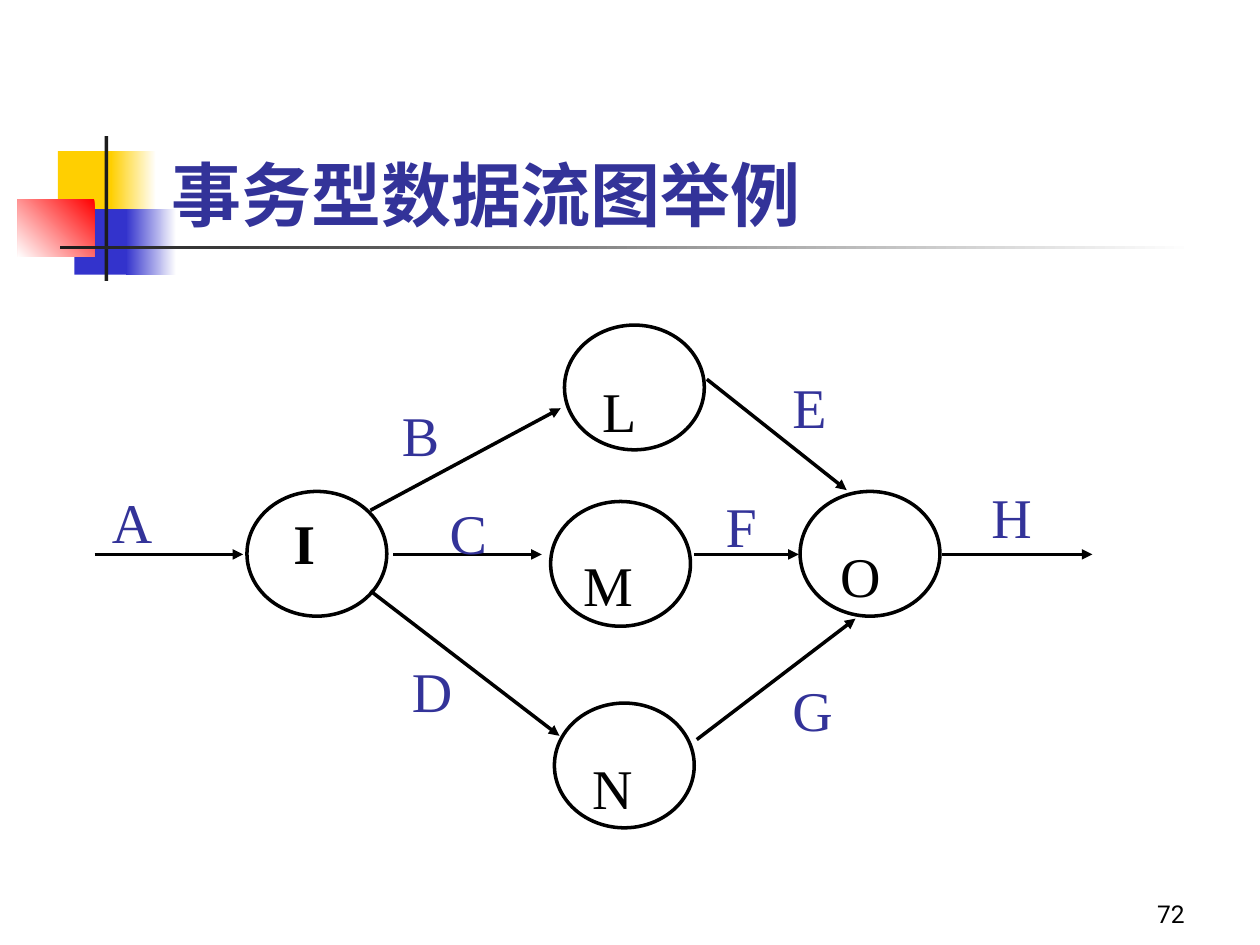
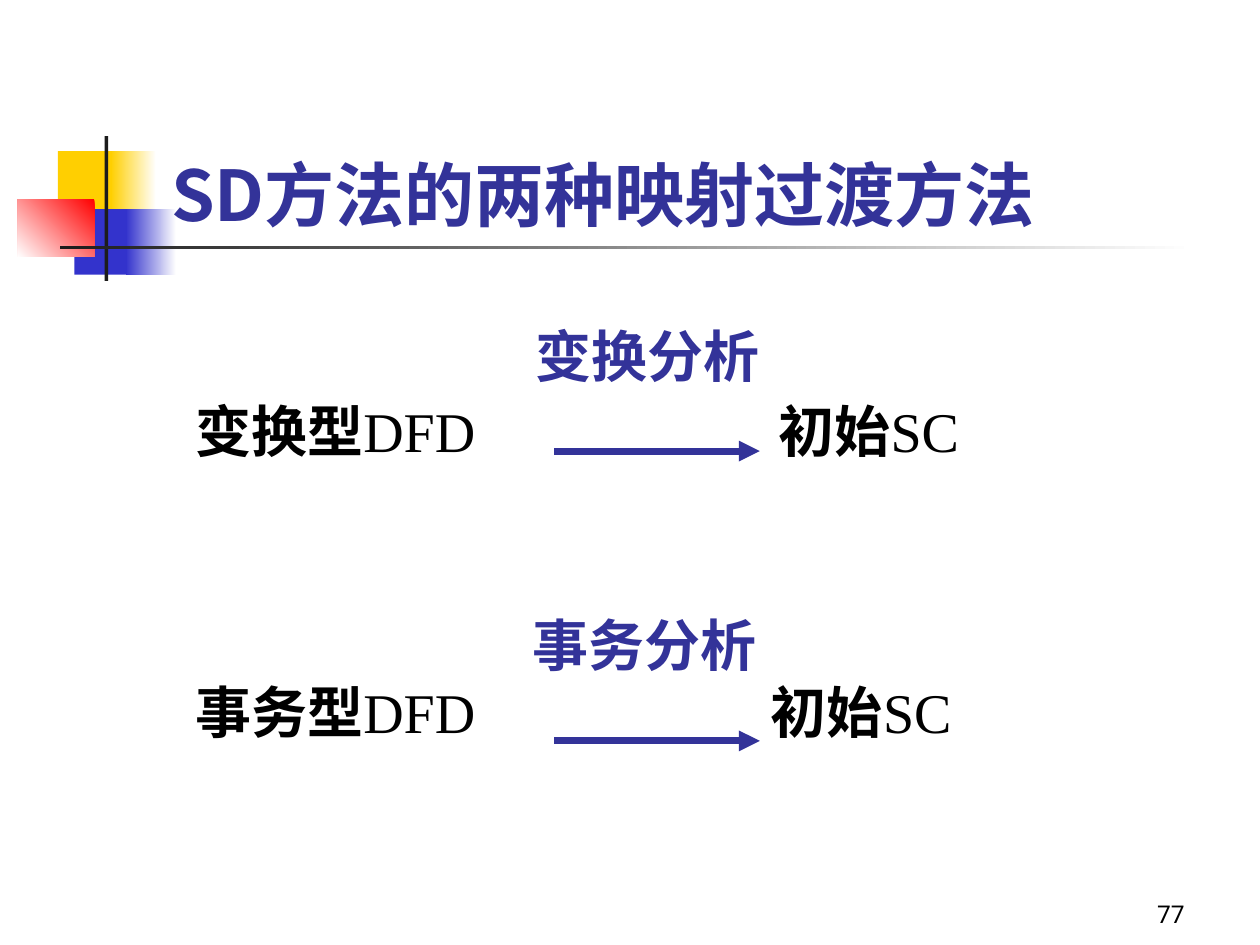
import pptx
import pptx.util
import pptx.dml.color
import pptx.enum.shapes
import pptx.enum.text
import pptx.oxml
import pptx.oxml.ns

Inches = pptx.util.Inches
SHAPE = pptx.enum.shapes.MSO_SHAPE
ALIGN = pptx.enum.text.PP_ALIGN
ANCHOR = pptx.enum.text.MSO_ANCHOR

HAN, SERIF, SANS = "Noto Sans CJK SC", "Times New Roman", "Roboto"
BLACK, WHITE, NAVY = "000000", "FFFFFF", "333399"
GOLD, BLUE, RED, DARK = "FFCF01", "3333CC", "FF0000", "1C1C1C"

# Box, then one colour, or two colours and a counter-clockwise angle
DECOR = [
    ((0.46, 1.2, 0.48, 0.52), GOLD),
    ((0.88, 1.2, 0.36, 0.52), (WHITE, GOLD, 180)),
    ((0.59, 1.66, 0.46, 0.52), BLUE),
    ((1, 1.66, 0.4, 0.52), (WHITE, BLUE, 180)),
    ((0.14, 1.58, 0.61, 0.46), (RED, WHITE, 225)),
    ((0.83, 1.08, 0.03, 1.15), DARK),
    ((0.48, 1.95, 9, 0.03), (WHITE, DARK, 180)),
]
TITLE_BOX = (1.26, 0.67, 8.52, 1.25)
PAGE_BOX = (7.42, 6.92, 2.08, 0.5)

# Name: left and top of the circle, then left, top and width of its label
NODE_SIZE = (1.11, 0.99)
NODES = {
    "I": ((1.96, 3.9), (2.23, 3.99, 0.37)),
    "L": ((4.48, 2.58), (4.68, 2.94, 0.47)),
    "M": ((4.37, 3.98), (4.53, 4.32, 0.59)),
    "O": ((6.35, 3.9), (6.57, 4.25, 0.52)),
    "N": ((4.4, 5.58), (4.6, 5.93, 0.52)),
}
# Name: start and end of the arrow, then left, top and width of its label
FLOW_Y = 4.4
FLOWS = {
    "A": ((0.75, FLOW_Y), (1.93, FLOW_Y), (0.79, 3.82, 0.52)),
    "B": ((2.94, 4.05), (4.45, 3.24), (3.09, 3.13, 0.49)),
    "C": ((3.12, FLOW_Y), (4.3, FLOW_Y), (3.47, 3.91, 0.49)),
    "D": ((2.94, 4.69), (4.44, 5.84), (3.17, 5.16, 0.52)),
    "E": ((5.61, 3.01), (6.72, 3.89), (6.19, 2.91, 0.47)),
    "F": ((5.51, FLOW_Y), (6.34, FLOW_Y), (5.66, 3.85, 0.45)),
    "G": ((5.53, 5.87), (6.79, 4.91), (6.19, 5.31, 0.52)),
    "H": ((7.48, FLOW_Y), (8.67, FLOW_Y), (7.77, 3.78, 0.52)),
}
LABEL_H = 0.64

# Source, method and result; top of the method, top of the row;
# left of the method, left of the result
MAPS = [
    ("变换型", "变换分析", "初始", 2.5, 3.1, 4.15, 6.08),
    ("事务型", "事务分析", "初始", 4.8, 5.33, 4.13, 6.02),
]
MAP_H = 0.63
ARROW_DROP = 1.08


def color(code):
    return pptx.dml.color.RGBColor.from_string(code)


def inches(box):
    return [Inches(n) for n in box]


def set_face(font, parent, name, bold):
    """Set the Latin and East Asian typeface; parent holds the font's XML."""
    font.name, font.bold = name, bold
    qn = pptx.oxml.ns.qn
    props = parent.find(qn("a:rPr"))
    if props is None:
        props = parent.find(qn("a:pPr")).find(qn("a:defRPr"))
    east = props.makeelement(qn("a:ea"), {"typeface": name})
    props.find(qn("a:latin")).addnext(east)


def write(frame, parts, size, ink):
    """Fill one paragraph with (text, typeface, bold) parts."""
    par = frame.paragraphs[0]
    par.font.size = pptx.util.Pt(size)
    par.font.color.rgb = color(ink)
    if len(parts) == 1:
        set_face(par.font, par._p, *parts[0][1:])
    for text, name, bold in parts:
        run = par.add_run()
        run.text = text
        if len(parts) > 1:
            set_face(run.font, run._r, name, bold)
    return par


def add_text(slide, box, parts, ink=BLACK, size=32):
    frame = slide.shapes.add_textbox(*inches(box)).text_frame
    frame.word_wrap = False
    return frame, write(frame, parts, size, ink)


def add_shape(slide, kind, box, paint):
    shape = slide.shapes.add_shape(kind, *inches(box))
    shape.shadow.inherit = False
    shape.line.fill.background()
    if isinstance(paint, str):
        shape.fill.solid()
        shape.fill.fore_color.rgb = color(paint)
    else:
        shape.fill.gradient()
        shape.fill.gradient_angle = paint[2]
        for stop, code, place in zip(shape.fill.gradient_stops, paint, (0, 1)):
            stop.color.rgb = color(code)
            stop.position = place
    return shape


def set_line(line, ink, width):
    line.color.rgb = color(ink)
    line.width = pptx.util.Pt(width)


def add_arrow(slide, start, end, ink, width):
    kind = pptx.enum.shapes.MSO_CONNECTOR.STRAIGHT
    arrow = slide.shapes.add_connector(kind, *inches(start + end))
    set_line(arrow.line, ink, width)
    props = arrow._element.spPr
    qn = pptx.oxml.ns.qn
    tail = props.makeelement(qn("a:tailEnd"), {"type": "triangle"})
    props.find(qn("a:ln")).append(tail)
    props.append(props.makeelement(qn("a:effectLst"), {}))


def add_slide(deck, title, page):
    slide = deck.slides.add_slide(deck.slide_layouts[5])
    for box, paint in DECOR:
        add_shape(slide, SHAPE.RECTANGLE, box, paint)
    head = slide.shapes.title
    slide.shapes._spTree.append(head._element)
    head.left, head.top, head.width, head.height = inches(TITLE_BOX)
    frame = head.text_frame
    frame.auto_size = pptx.enum.text.MSO_AUTO_SIZE.NONE
    frame.vertical_anchor = ANCHOR.BOTTOM
    write(frame, [(title, HAN, True)], 40, NAVY).alignment = ALIGN.LEFT
    frame, par = add_text(slide, PAGE_BOX, [(page, SANS, False)], size=14)
    frame.word_wrap = True
    frame.vertical_anchor = ANCHOR.BOTTOM
    par.alignment = ALIGN.RIGHT
    return slide


def draw_flows(slide):
    for spot, _ in NODES.values():
        node = add_shape(slide, SHAPE.OVAL, spot + NODE_SIZE, WHITE)
        set_line(node.line, BLACK, 2)
    for start, end, _ in FLOWS.values():
        add_arrow(slide, start, end, BLACK, 2)
    for name, (_, spot) in NODES.items():
        add_text(slide, spot + (LABEL_H,), [(name, SERIF, name == "I")])
    for name, (_, _, spot) in FLOWS.items():
        add_text(slide, spot + (LABEL_H,), [(name, SERIF, False)], NAVY)


def draw_maps(slide):
    for source, method, result, top, row, mid, right in MAPS:
        y = top + ARROW_DROP
        add_arrow(slide, (4.4, y), (6.03, y), NAVY, 4)
        add_text(slide, (1.45, row, 2.53, MAP_H),
                 [(source, HAN, True), ("DFD", SERIF, False)])
        add_text(slide, (right, row, 1.74, MAP_H),
                 [(result, HAN, True), ("SC", SERIF, False)])
        add_text(slide, (mid, top, 1.98, MAP_H), [(method, HAN, True)], NAVY)


def main():
    deck = pptx.Presentation()
    deck.slide_width, deck.slide_height = Inches(10), Inches(7.5)
    draw_flows(add_slide(deck, "事务型数据流图举例", "72"))
    draw_maps(add_slide(deck, "SD方法的两种映射过渡方法", "77"))
    deck.save("out.pptx")


if __name__ == "__main__":
    main()
